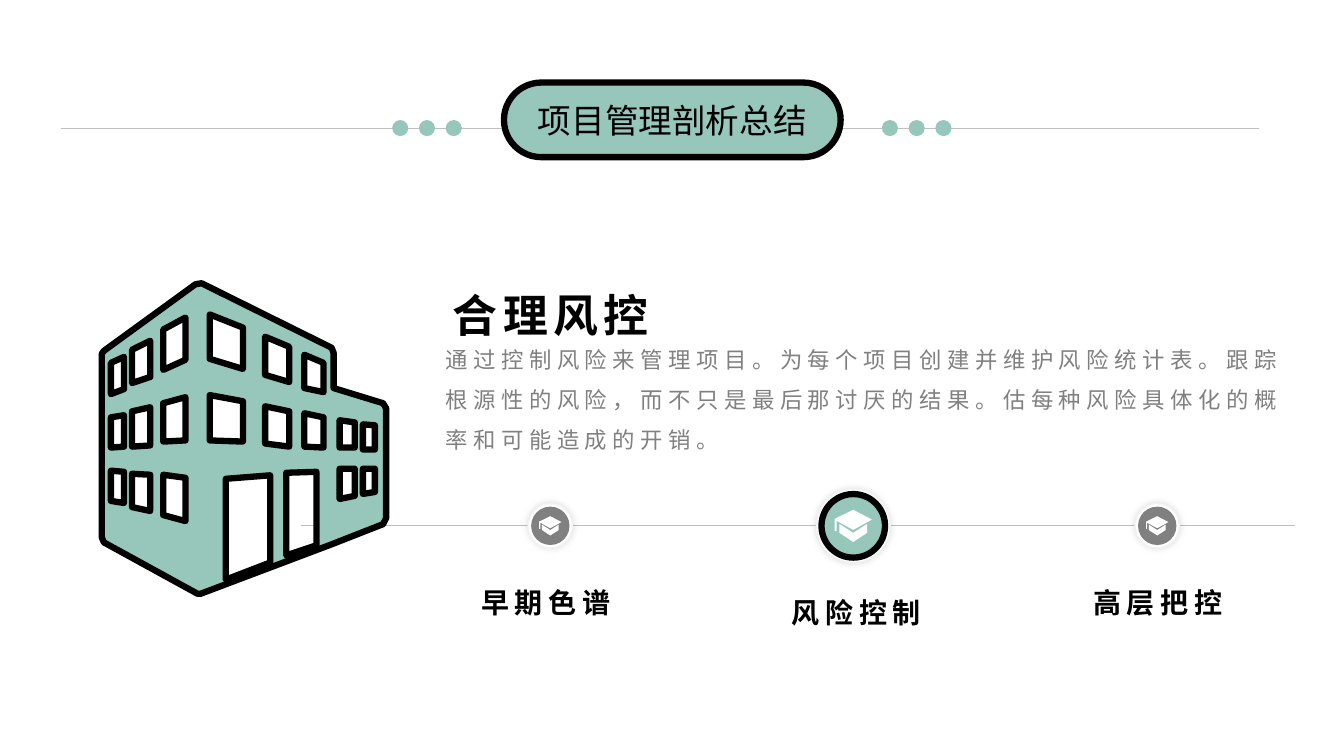
from lxml import etree
from pptx import Presentation
from pptx.dml.color import RGBColor
from pptx.enum.shapes import MSO_CONNECTOR, MSO_SHAPE
from pptx.enum.text import MSO_ANCHOR, MSO_AUTO_SIZE, PP_ALIGN
from pptx.oxml import parse_xml
from pptx.oxml.ns import qn
from pptx.util import Pt

STRAIGHT = MSO_CONNECTOR.STRAIGHT
OVAL, ROUNDED = MSO_SHAPE.OVAL, MSO_SHAPE.ROUNDED_RECTANGLE
TOP, MIDDLE = MSO_ANCHOR.TOP, MSO_ANCHOR.MIDDLE
LEFT, CENTER = PP_ALIGN.LEFT, PP_ALIGN.CENTER
FIXED, GROW = MSO_AUTO_SIZE.NONE, MSO_AUTO_SIZE.SHAPE_TO_FIT_TEXT

BLACK = RGBColor(0x00, 0x00, 0x00)
WHITE = RGBColor(0xFF, 0xFF, 0xFF)
GREEN = RGBColor(0x97, 0xC6, 0xBB)
GRAY = RGBColor(0x80, 0x80, 0x80)
RULE_GRAY = RGBColor(0xBF, 0xBF, 0xBF)
RIM_GRAY = RGBColor(0xF2, 0xF2, 0xF2)

FONT = "Noto Sans CJK JP"
HEAVY = 4.5
DOT, DOT_PITCH = 11.5, 19.1
TIMELINE_Y = 375.6

HALO_SHADOW = (
    '<a:outerShdw xmlns:a="http://schemas.openxmlformats.org/drawingml/2006/main" '
    'blurRad="63500" dist="0" algn="ctr" rotWithShape="0">'
    '<a:srgbClr val="000000"><a:alpha val="13000"/></a:srgbClr></a:outerShdw>'
)

WALLS = [
    (139.7, 203), (144, 202.3), (236.9, 248.4), (238.3, 252), (238.3, 277.2),
    (273.6, 288), (275.8, 291.6), (275.8, 370.1), (273.6, 374.4), (236.9, 388.8),
    (143.3, 424.1), (141.1, 424.1), (74.2, 387.4), (72.7, 383.8), (72.7, 252.7),
    (74.2, 250.6),
]

OPENING_COLUMNS = [
    (79.2, 88.6, [(259.2, 254.9, 277.9, 281.5), (298.1, 296.6, 319, 319.7),
                  (336.2, 337, 359.3, 357.8)]),
    (94.3, 107.3, [(249.8, 243.4, 269.3, 273.6), (293.8, 290.9, 318.2, 319),
                   (338.4, 339.1, 365, 362.2)]),
    (116.6, 132.5, [(235.4, 226.8, 257, 264.2), (288, 283.7, 314.6, 315.4),
                    (339.1, 341.3, 372.2, 367.9)]),
    (149.8, 173.5, [(224.6, 234, 263.5, 256.3), (282.2, 286.6, 315.4, 314.6)]),
    (189.4, 206.6, [(240.5, 247.7, 272.9, 267.8), (290.2, 293.8, 319, 316.8)]),
    (217.4, 231.1, [(253.4, 259.2, 280.1, 277.2), (295.2, 298.1, 319.7, 319)]),
    (242.6, 253.4, [(300.2, 301.7, 319.7, 319.7), (334.8, 334.8, 354.2, 356.4)]),
    (259.2, 267.8, [(303.1, 303.8, 321.1, 321.1), (334.8, 334.8, 351.4, 352.8)]),
    (161.3, 193, [(342, 339.5, 401.8, 414)]),
    (204.5, 226.1, [(337.7, 337, 389.5, 396.7)]),
]

CAP = [
    [(9.9, -1.4), (0, 5), (-9.9, -1.4), (-9.9, 5), (0, 11.5), (9.9, 5)],
    [(0, -11.5), (-13.3, -5), (-13.3, 3.6), (-11.9, 3.6), (-11.9, -3.6),
     (0, 2.9), (13.3, -4.5)],
]


class SlideBuilder:
    def __init__(self, page):
        self.page = page

    def paint(self, shape, fill, line=None, width=0):
        shape.shadow.inherit = False
        shape.fill.solid()
        shape.fill.fore_color.rgb = fill
        if line is None:
            shape.line.fill.background()
        else:
            shape.line.color.rgb = line
            shape.line.width = Pt(width)
        return shape

    def rule(self, left, right, y, width):
        line = self.page.shapes.add_connector(STRAIGHT, Pt(left), Pt(y), Pt(right), Pt(y))
        line.line.color.rgb = RULE_GRAY
        line.line.width = Pt(width)
        etree.SubElement(line.element.spPr, qn("a:effectLst"))

    def shape(self, kind, left, top, width, height, fill, line=None, weight=0):
        shape = self.page.shapes.add_shape(kind, Pt(left), Pt(top), Pt(width), Pt(height))
        return self.paint(shape, fill, line, weight)

    def circle(self, x, y, size, fill, line=None, weight=0):
        return self.shape(OVAL, x - size / 2, y - size / 2, size, size, fill, line, weight)

    def outline(self, contours, fill, line=None, weight=0):
        scaled = [[(Pt(x), Pt(y)) for x, y in contour] for contour in contours]
        builder = self.page.shapes.build_freeform(*scaled[0][0], scale=1.0)
        builder.add_line_segments(scaled[0][1:], close=True)
        for contour in scaled[1:]:
            builder.move_to(*contour[0])
            builder.add_line_segments(contour[1:], close=True)
        return self.paint(builder.convert_to_shape(), fill, line, weight)

    def badge(self, x, halo, disc, cap_scale, fill, line=None):
        ring = self.circle(x, TIMELINE_Y, halo, WHITE, RIM_GRAY, 1)
        ring.element.spPr.find(qn("a:effectLst")).append(parse_xml(HALO_SHADOW))
        self.circle(x, TIMELINE_Y, disc, fill, line, HEAVY)
        self.outline([[(x + dx * cap_scale, TIMELINE_Y + dy * cap_scale) for dx, dy in part]
                      for part in CAP], WHITE)

    def set_text(self, box, place, text, size, color=BLACK, bold=False, spacing=0,
                 align=CENTER, anchor=TOP, fit=GROW, leading=1.5):
        box.left, box.top, box.width, box.height = (Pt(value) for value in place)
        frame = box.text_frame
        frame.word_wrap = True
        frame.auto_size = fit
        frame.vertical_anchor = anchor
        para = frame.paragraphs[0]
        if box.is_placeholder:
            properties = para._p.get_or_add_pPr()
            properties.set("marL", "0")
            properties.set("indent", "0")
            etree.SubElement(properties, qn("a:buNone"))
        para.alignment = align
        para.line_spacing = leading
        para.space_before = Pt(0)
        span = para.add_run()
        span.text = text
        span.font.size = Pt(size)
        span.font.bold = bold
        span.font.color.rgb = color
        span.font.name = FONT
        letters = span._r.get_or_add_rPr()
        letters.set("spc", str(spacing * 100))
        etree.SubElement(letters, qn("a:ea")).set("typeface", FONT)

    def label(self, place, text, size):
        box = self.page.shapes.add_textbox(0, 0, 0, 0)
        self.set_text(box, place, text, size, bold=True, spacing=4)


def main():
    deck = Presentation()
    deck.slide_width, deck.slide_height = Pt(960), Pt(540)
    page = deck.slides.add_slide(deck.slide_layouts[1])
    slide = SlideBuilder(page)

    slide.rule(43.9, 899.3, 91.6, 0.25)
    pill = (360, 59, 240.5, 53.3)
    slide.shape(ROUNDED, *pill, GREEN, BLACK, HEAVY).adjustments[0] = 0.5
    title = page.shapes.title
    title.element.getparent().append(title.element)
    slide.set_text(title, pill, "项目管理剖析总结", 24, anchor=MIDDLE, fit=FIXED, leading=1.0)
    for first_dot in (285.9, 635.7):
        for index in range(3):
            slide.circle(first_dot + index * DOT_PITCH, 91.5, DOT, GREEN)

    slide.rule(215.3, 925.2, 375.2, 0.5)
    openings = [[(left, top_left), (right, top_right), (right, bottom_right), (left, bottom_left)]
                for left, right, rows in OPENING_COLUMNS
                for top_left, top_right, bottom_right, bottom_left in rows]
    slide.outline([WALLS] + openings, GREEN, BLACK, HEAVY)

    for x in (826.6, 393.1):
        slide.badge(x, 31.7, 27.4, 0.6, GRAY)
    slide.badge(609.5, 52.6, 45.4, 1, GREEN, BLACK)

    slide.set_text(page.placeholders[1], (311, 234, 613.4, 91.4),
                   "通过控制风险来管理项目。为每个项目创建并维护风险统计表。跟踪根源性的风险，"
                   "而不只是最后那讨厌的结果。估每种风险具体化的概率和可能造成的开销。",
                   16, GRAY, spacing=4, align=LEFT)
    slide.label((297.4, 182.9, 192.2, 59), "合理风控", 32)
    for left, top, text in ((321.1, 402.5, "早期色谱"), (542.9, 409.7, "风险控制"),
                            (758.2, 402.5, "高层把控")):
        slide.label((left, top, 137.5, 39.6), text, 20)

    deck.save("out.pptx")


if __name__ == "__main__":
    main()
